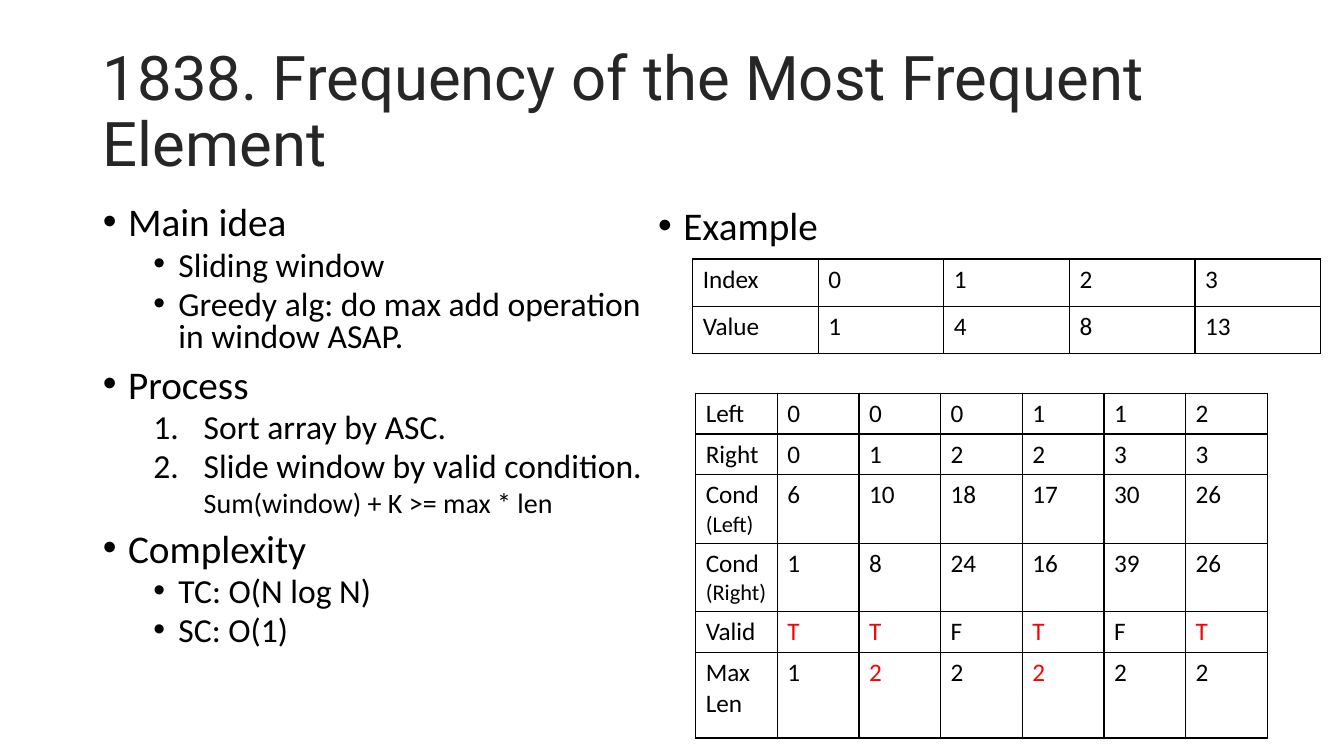
from lxml.etree import SubElement
from pptx import Presentation
from pptx.dml.color import RGBColor
from pptx.enum.text import MSO_ANCHOR, MSO_AUTO_SIZE, PP_ALIGN
from pptx.oxml.ns import qn
from pptx.util import Inches, Pt

BLACK = RGBColor(0, 0, 0)
GRAY = RGBColor(0x26, 0x26, 0x26)
RED = RGBColor(0xFF, 0, 0)

# Level, left margin, hanging indent, size, space before, bullet
HEAD = (0, 0.25, -0.25, 28, 10, "dot")
ITEM = (1, 0.75, -0.25, 24, 5, "dot")
STEP = (1, 1, -0.5, 24, 5, "num")
NOTE = (2, 1, 0, 20, 5, None)

IDEAS = [
    (HEAD, "Main idea"),
    (ITEM, "Sliding window"),
    (ITEM, "Greedy alg: do max add operation in window ASAP."),
    (HEAD, "Process"),
    (STEP, "Sort array by ASC."),
    (STEP, "Slide window by valid condition."),
    (NOTE, "Sum(window) + K >= max * len"),
    (HEAD, "Complexity"),
    (ITEM, "TC: O(N log N)"),
    (ITEM, "SC: O(1)"),
]

# In a label, \v starts a small line and \n a new paragraph
WINDOWS = [
    ["Left", 0, 0, 0, 1, 1, 2],
    ["Right", 0, 1, 2, 2, 3, 3],
    ["Cond\v(Left)", 6, 10, 18, 17, 30, 26],
    ["Cond\v(Right)", 1, 8, 24, 16, 39, 26],
    ["Valid", "T", "T", "F", "T", "F", "T"],
    ["Max\nLen", 1, 2, 2, 2, 2, 2],
]
HITS = {(4, 1), (4, 2), (4, 4), (4, 6), (5, 2), (5, 4)}
ARRAY = [["Index", 0, 1, 2, 3], ["Value", 1, 4, 8, 13]]


def write(par, text, size=18, font="Calibri", color=BLACK):
    run = par.add_run()
    run.text = text
    run.font.size = Pt(size)
    run.font.name = font
    run.font.color.rgb = color


def place(shape, left, top, width, height):
    shape.left, shape.top = Inches(left), Inches(top)
    shape.width, shape.height = Inches(width), Inches(height)


def add_list(shape, lines, gap):
    frame = shape.text_frame
    frame.word_wrap = True
    frame.auto_size = MSO_AUTO_SIZE.NONE
    for i, (style, text) in enumerate(lines):
        level, left, indent, size, before, mark = style
        par = frame.add_paragraph() if i else frame.paragraphs[0]
        par.level = level
        par.line_spacing = gap
        par.space_before = Pt(before)
        props = par._p.get_or_add_pPr()
        props.set("marL", str(Inches(left)))
        props.set("indent", str(Inches(indent)))
        if mark == "dot":
            SubElement(props, qn("a:buFont"), typeface="Arial")
            SubElement(props, qn("a:buChar"), char="•")
        elif mark == "num":
            SubElement(props, qn("a:buFont"), typeface="+mj-lt")
            SubElement(props, qn("a:buAutoNum"), type="arabicPeriod")
        else:
            SubElement(props, qn("a:buNone"))
        write(par, text, size=size)


def add_edges(cell):
    props = cell._tc.get_or_add_tcPr()
    for side in ("lnL", "lnR", "lnT", "lnB"):
        line = SubElement(props, qn("a:" + side), w=str(Pt(1)))
        fill = SubElement(line, qn("a:solidFill"))
        SubElement(fill, qn("a:srgbClr"), val=str(BLACK))


def fill_cell(cell, text, color):
    add_edges(cell)
    cell.fill.background()
    frame = cell.text_frame
    for i, part in enumerate(text.split("\n")):
        par = frame.add_paragraph() if i else frame.paragraphs[0]
        main, _, small = part.partition("\v")
        write(par, main, color=color)
        if small:
            par.add_line_break()
            write(par, small, size=16, color=color)


def add_grid(slide, rows, left, top, width, heights, hits=()):
    count = len(rows[0])
    frame = slide.shapes.add_table(
        len(rows), count, Inches(left), Inches(top),
        Inches(width), Inches(sum(heights)))
    table = frame.table
    table.first_row = table.horz_banding = False
    for r, (row, height) in enumerate(zip(rows, heights)):
        table.rows[r].height = Inches(height)
        for c, value in enumerate(row):
            color = RED if (r, c) in hits else BLACK
            fill_cell(table.cell(r, c), str(value), color)


def main():
    deck = Presentation()
    deck.slide_width, deck.slide_height = Inches(13.33), Inches(7.5)
    slide = deck.slides.add_slide(deck.slide_layouts[1])

    # Title
    title = slide.shapes.title
    place(title, 0.92, 0.4, 12.36, 1.45)
    frame = title.text_frame
    frame.vertical_anchor = MSO_ANCHOR.MIDDLE
    frame.auto_size = MSO_AUTO_SIZE.NONE
    par = frame.paragraphs[0]
    par.alignment = PP_ALIGN.LEFT
    par.line_spacing = 0.9
    write(par, "1838.\u00a0Frequency of the Most Frequent Element",
          size=44, font="Roboto", color=GRAY)

    # Idea, process and cost
    body = slide.placeholders[1]
    place(body, 0.92, 2, 5.67, 4.76)
    add_list(body, IDEAS, 0.8)

    # Worked example
    add_grid(slide, WINDOWS, 6.9, 3.9, 5.67,
             [0.37, 0.37, 0.62, 0.62, 0.37, 0.85], HITS)
    add_grid(slide, ARRAY, 6.87, 2.57, 6.23, [0.47, 0.47])
    box = slide.shapes.add_textbox(
        Inches(6.43), Inches(2), Inches(5.67), Inches(4.76))
    add_list(box, [(HEAD, "Example")], 0.9)

    deck.save("out.pptx")


main()
